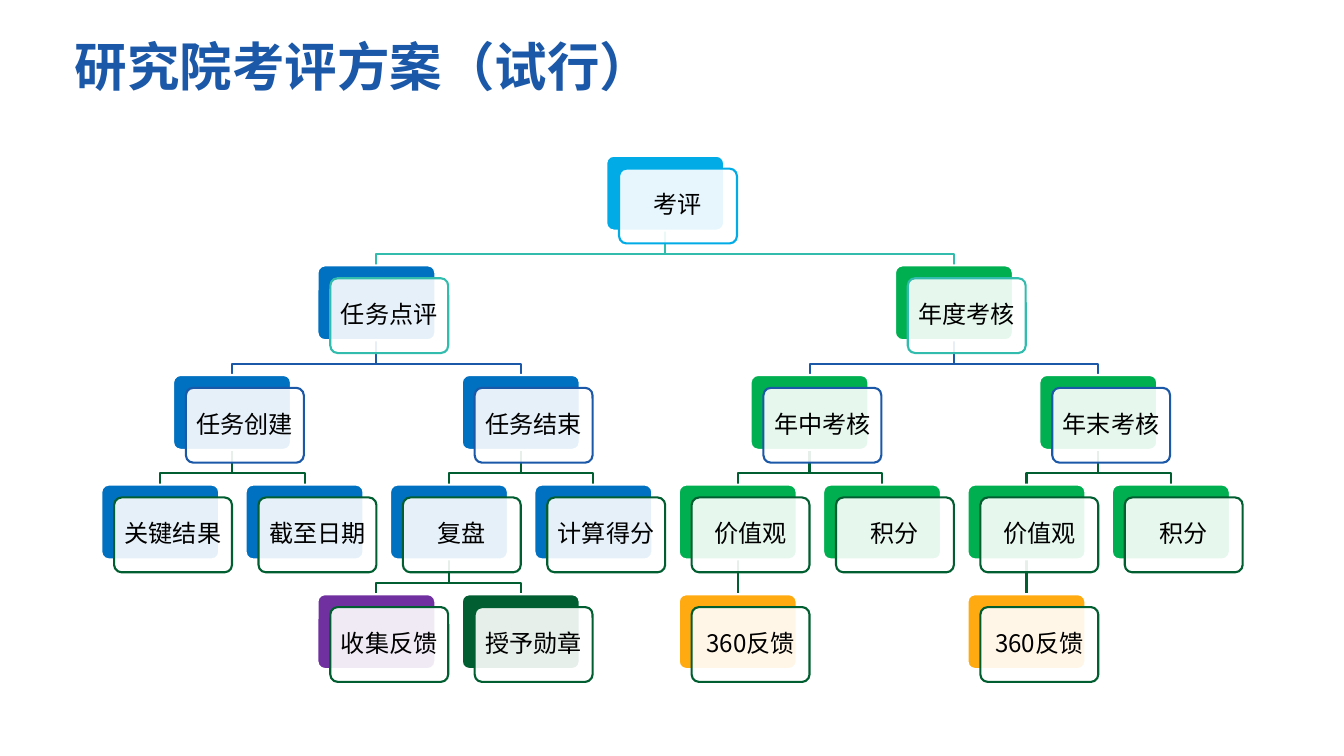
from lxml.etree import SubElement
from pptx import Presentation
from pptx.dml.color import RGBColor
from pptx.enum.shapes import MSO_CONNECTOR, MSO_SHAPE
from pptx.enum.text import MSO_ANCHOR, PP_ALIGN
from pptx.oxml.ns import qn
from pptx.util import Pt

PX = 9144  # 100 px to the inch
FONT = "Noto Sans CJK SC"

WHITE = RGBColor(0xFF, 0xFF, 0xFF)
BLACK = RGBColor(0x00, 0x00, 0x00)
SKY = RGBColor(0x00, 0xAB, 0xE6)
TEAL = RGBColor(0x32, 0xBC, 0xAD)
NAVY = RGBColor(0x1B, 0x58, 0xA8)
FOREST = RGBColor(0x00, 0x5E, 0x30)
BLUE = RGBColor(0x00, 0x70, 0xC0)
GREEN = RGBColor(0x00, 0xB0, 0x50)
PURPLE = RGBColor(0x70, 0x30, 0xA0)
ORANGE = RGBColor(0xFF, 0xAA, 0x11)

# Outline colour of each level, and the columns between siblings below it
LEVEL_COLOURS = [SKY, TEAL, NAVY, FOREST, FOREST]
SIBLING_COLUMNS = [4, 2, 1, 1]
COLUMN_PITCH, LEVEL_PITCH = 191, 145
CARD_WIDTH, CARD_HEIGHT, CARD_OFFSET = 156, 99, 17
ELBOW_DROP = 31

# Each node: label, colour, children
TREE = ("考评", SKY, [
    ("任务点评", BLUE, [
        ("任务创建", BLUE, [("关键结果", BLUE, []), ("截至日期", BLUE, [])]),
        ("任务结束", BLUE, [
            ("复盘", BLUE, [("收集反馈", PURPLE, []), ("授予勋章", FOREST, [])]),
            ("计算得分", BLUE, []),
        ]),
    ]),
    ("年度考核", GREEN, [
        (label, GREEN, [
            ("价值观", GREEN, [("360反馈", ORANGE, [])]),
            ("积分", GREEN, []),
        ])
        for label in ("年中考核", "年末考核")
    ]),
])


def set_attributes(target, values):
    for name, value in values.items():
        setattr(target, name, value)


def write_text(text_frame, text, margins, font_values, colour, frame_values,
               paragraph_values):
    horizontal, vertical = (margin * PX for margin in margins)
    set_attributes(text_frame, {
        "word_wrap": True,
        "margin_left": horizontal, "margin_right": horizontal,
        "margin_top": vertical, "margin_bottom": vertical,
        **frame_values,
    })
    paragraph = text_frame.paragraphs[0]
    set_attributes(paragraph, paragraph_values)
    run = paragraph.add_run()
    run.text = text
    set_attributes(run.font, {"name": FONT, **font_values})
    run.font.color.rgb = colour
    SubElement(run.font._element, qn("a:ea"), typeface=FONT)


def add_title(slide, left, top, width, height):
    box = slide.shapes.add_textbox(left * PX, top * PX, width * PX, height * PX)
    write_text(box.text_frame, "研究院考评方案（试行）", (10, 5),
               {"size": Pt(50), "bold": True}, NAVY,
               {"vertical_anchor": MSO_ANCHOR.TOP},
               {"alignment": PP_ALIGN.LEFT, "line_spacing": 1.0})


def add_branch(slide, start_x, start_y, end_x, end_y, colour):
    if start_x == end_x:
        branch = slide.shapes.add_connector(
            MSO_CONNECTOR.STRAIGHT,
            start_x * PX, start_y * PX, end_x * PX, end_y * PX)
        SubElement(branch._element.spPr, qn("a:effectLst"))
    else:
        elbow_y = start_y + ELBOW_DROP
        builder = slide.shapes.build_freeform(start_x, start_y, scale=PX)
        builder.add_line_segments(
            [(start_x, elbow_y), (end_x, elbow_y), (end_x, end_y)], close=False)
        branch = builder.convert_to_shape()
        branch.fill.background()
        branch.shadow.inherit = False
    branch.line.color.rgb = colour
    branch.line.width = Pt(2)


def add_rounded_box(slide, left, top, fill_colour, line_colour):
    shape = slide.shapes.add_shape(
        MSO_SHAPE.ROUNDED_RECTANGLE,
        left * PX, top * PX, CARD_WIDTH * PX, CARD_HEIGHT * PX)
    shape.adjustments[0] = 0.1
    shape.shadow.inherit = False
    shape.fill.solid()
    shape.fill.fore_color.rgb = fill_colour
    shape.line.color.rgb = line_colour
    shape.line.width = Pt(2)
    return shape


def add_card(slide, left, top, label, colour, outline):
    add_rounded_box(slide, left, top, colour, WHITE)
    front = add_rounded_box(
        slide, left + CARD_OFFSET, top + CARD_OFFSET, WHITE, outline)
    fill_element = front._element.spPr.find(qn("a:solidFill"))
    SubElement(fill_element[0], qn("a:alpha"), val="90000")
    write_text(front.text_frame, label, (8, 8),
               {"size": Pt(23), "bold": False}, BLACK,
               {"vertical_anchor": MSO_ANCHOR.MIDDLE},
               {"alignment": PP_ALIGN.CENTER, "line_spacing": 0.9})


def place_nodes(node, column=0, level=0, parent_column=None):
    """Yield every node with its column (from the root's axis) and level."""
    label, colour, children = node
    yield label, colour, column, level, parent_column
    for index, child in enumerate(children):
        shift = (index - (len(children) - 1) / 2) * SIBLING_COLUMNS[level]
        yield from place_nodes(child, column + shift, level + 1, column)


def add_tree(slide, left, top, width):
    def center_x(column):
        return left + int(width / 2 + column * COLUMN_PITCH)

    nodes = list(place_nodes(TREE))
    # Branches lie behind the cards
    for _, _, column, level, parent_column in nodes[1:]:
        end_y = top + level * LEVEL_PITCH
        add_branch(slide, center_x(parent_column),
                   end_y - LEVEL_PITCH + CARD_HEIGHT,
                   center_x(column), end_y, LEVEL_COLOURS[level])
    for label, colour, column, level, _ in nodes:
        add_card(slide, center_x(column) - CARD_WIDTH // 2,
                 top + level * LEVEL_PITCH, label, colour, LEVEL_COLOURS[level])


def main():
    presentation = Presentation()
    presentation.slide_width = 1778 * PX
    presentation.slide_height = 1000 * PX
    slide = presentation.slides.add_slide(presentation.slide_layouts[6])
    add_tree(slide, 134, 206, 1493)
    add_title(slide, 89, 40, 1600, 167)
    presentation.save("out.pptx")


if __name__ == "__main__":
    main()
